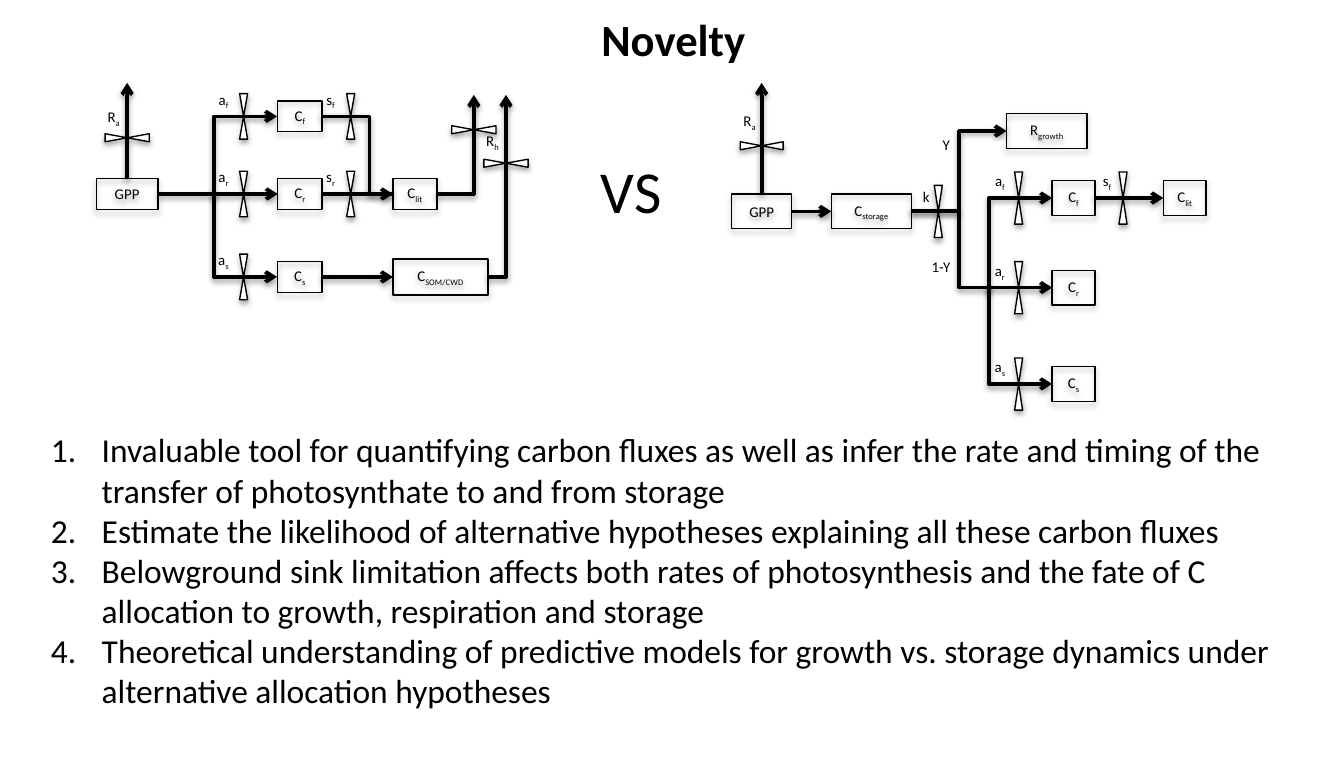
from dataclasses import dataclass
from typing import Optional

from lxml.etree import SubElement
from pptx import Presentation
from pptx.dml.color import RGBColor
from pptx.enum.shapes import MSO_CONNECTOR as Wire, MSO_SHAPE as Preset
from pptx.enum.text import MSO_ANCHOR as Anchor, MSO_AUTO_SIZE as Fit, PP_ALIGN as Align
from pptx.oxml.ns import qn
from pptx.util import Inches, Pt


@dataclass(frozen=True)
class Theme:
    ink: RGBColor = RGBColor(0, 0, 0)
    paper: RGBColor = RGBColor(255, 255, 255)
    face: str = "Calibri"
    title: float = 24
    versus: float = 32
    body: float = 18
    label: float = 8
    outline: float = 0.75
    flow: float = 2


@dataclass(frozen=True)
class Box:  # a pool; x and y give the centre, "_" starts a subscript
    text: str
    x: float
    y: float
    w: float
    h: float


@dataclass(frozen=True)
class Valve:
    x: float
    y: float
    length: float
    turned: bool = False


@dataclass(frozen=True)
class Label:
    text: str
    x: float
    y: float
    w: float = 0.33
    h: float = 0.2


@dataclass(frozen=True)
class Bend:  # leaves its start sideways; without a turn it has one corner
    start: tuple[float, float]
    end: tuple[float, float]
    arrow: str = "tailEnd"
    turn: Optional[float] = None


@dataclass(frozen=True)
class Diagram:
    boxes: list[Box]
    links: list[tuple[str, str]]
    bends: list[Bend]
    valves: list[Valve]
    labels: list[Label]


THEME = Theme()
VENT_TOP = 0.62
LABEL_RISE = 0.12


def branch(rows: dict[str, float], box_x: float, valve_x: float, label_x: float,
           size: tuple[float, float], length: float) -> tuple[list, list, list]:
    """Pools, valves and allocation labels of the three-way split."""
    boxes = [Box(f"C_{key}", box_x, y, *size) for key, y in rows.items()]
    valves = [Valve(valve_x, y, length) for y in rows.values()]
    labels = [Label(f"a_{key}", label_x, y - LABEL_RISE) for key, y in rows.items()]
    return boxes, valves, labels


# Diagram without storage
left_rows = {"f": 0.87, "r": 1.45, "s": 2.07}
pools, valves, labels = branch(left_rows, 2.24, 1.82, 1.67, (0.33, 0.23), 0.34)
without_storage = Diagram(
    boxes=pools + [Box("GPP", 0.95, 1.45, 0.46, 0.23), Box("C_lit", 3.1, 1.45, 0.33, 0.23),
                   Box("C_SOM/CWD", 3.29, 2.07, 0.71, 0.27)],
    links=[("GPP", "C_r"), ("C_r", "C_lit"), ("C_s", "C_SOM/CWD")],
    bends=[Bend((2.07, 0.87), (1.6, 1.48), "headEnd"), Bend((2.07, 2.07), (1.6, 1.43), "headEnd"),
           Bend((2.4, 0.87), (2.93, 1.45), "", 0.68),
           Bend((3.64, 2.07), (3.78, 0.71)), Bend((3.26, 1.45), (3.54, 0.71))],
    valves=valves + [Valve(2.62, left_rows[key], 0.34) for key in "fr"]
    + [Valve(0.95, 1.03, 0.33, True), Valve(3.54, 0.97, 0.33, True), Valve(3.78, 1.22, 0.33, True)],
    labels=labels + [Label(f"s_{key}", 2.47, left_rows[key] - LABEL_RISE) for key in "fr"]
    + [Label("R_a", 0.85, 0.88), Label("R_h", 3.68, 1.06)],
)

# Diagram with storage
right_rows = {"f": 1.48, "r": 2.15, "s": 2.87}
pools, valves, labels = branch(right_rows, 8.02, 7.61, 7.47, (0.32, 0.26), 0.39)
with_storage = Diagram(
    boxes=pools + [Box("GPP", 5.69, 1.58, 0.45, 0.26), Box("C_storage", 6.51, 1.58, 0.6, 0.26),
                   Box("C_lit", 8.85, 1.48, 0.32, 0.26), Box("R_growth", 7.82, 0.98, 0.6, 0.26)],
    links=[("GPP", "C_storage"), ("C_f", "C_lit")],
    bends=[Bend((7.86, 1.48), (7.39, 2.19), "headEnd"), Bend((7.86, 2.87), (7.39, 2.13), "headEnd"),
           Bend((6.81, 1.58), (7.86, 2.15), turn=0.34), Bend((6.81, 1.58), (7.52, 0.98), turn=0.5)],
    valves=valves + [Valve(7.01, 1.58, 0.39), Valve(8.39, 1.48, 0.39), Valve(5.69, 1.09, 0.32, True)],
    labels=labels + [Label("s_f", 8.27, 1.36), Label("R_a", 5.6, 0.91), Label("k", 6.92, 1.47),
                     Label("Y", 7.07, 1.08), Label("1-Y", 7.03, 1.99)],
)


def format_font(font, size: float, bold: bool = False) -> None:
    for name, value in {"name": THEME.face, "size": Pt(size), "bold": bold}.items():
        setattr(font, name, value)
    font.color.rgb = THEME.ink


def format_frame(frame, anchor, margins: tuple[float, float] = (0, 0)) -> None:
    side, edge = (Inches(margin) for margin in margins)
    values = {"margin_left": side, "margin_right": side, "margin_top": edge, "margin_bottom": edge,
              "vertical_anchor": anchor, "word_wrap": True, "auto_size": Fit.NONE}
    for name, value in values.items():
        setattr(frame, name, value)


def place(shape, left: float, top: float, width: float, height: float) -> None:
    for name, value in zip(("left", "top", "width", "height"), (left, top, width, height)):
        setattr(shape, name, Inches(value))


def write_symbol(frame, text: str) -> None:
    format_frame(frame, Anchor.MIDDLE)
    para = frame.paragraphs[0]
    para.alignment = Align.CENTER
    for index, part in enumerate(text.split("_")):
        span = para.add_run()
        span.text = part
        format_font(span.font, THEME.label)
        if index:
            span._r.get_or_add_rPr().set("baseline", "-25000")


def add_shadow(properties, distance: float, opacity: int) -> None:
    effects = properties.find(qn("a:effectLst"))
    if effects is None:
        effects = SubElement(properties, qn("a:effectLst"))
    shadow = SubElement(effects, qn("a:outerShdw"), blurRad=str(Pt(3.1)), dist=str(Pt(distance)),
                        dir="5400000", rotWithShape="0")
    color = SubElement(shadow, qn("a:srgbClr"), val=str(THEME.ink))
    SubElement(color, qn("a:alpha"), val=str(opacity * 1000))


def add_preset(group, preset, x: float, y: float, w: float, h: float):
    shape = group.shapes.add_shape(preset, *map(Inches, (x - w / 2, y - h / 2, w, h)))
    shape.line.color.rgb = THEME.ink
    shape.line.width = Pt(THEME.outline)
    shape.shadow.inherit = False
    add_shadow(shape._element.spPr, 1.8, 35)
    return shape


def add_flow(group, kind, start: tuple[float, float], end: tuple[float, float], arrow: str):
    wire = group.shapes.add_connector(kind, *map(Inches, (*start, *end)))
    wire.line.color.rgb = THEME.ink
    wire.line.width = Pt(THEME.flow)
    if arrow:
        SubElement(wire.line._get_or_add_ln(), qn(f"a:{arrow}"), type="arrow")
    add_shadow(wire._element.spPr, 1.6, 38)
    return wire


def draw_diagram(page, diagram: Diagram) -> None:
    group = page.shapes.add_group_shape()
    # Pools
    drawn, places = {}, {box.text: box for box in diagram.boxes}
    for box in diagram.boxes:
        shape = drawn[box.text] = add_preset(group, Preset.RECTANGLE, box.x, box.y, box.w, box.h)
        shape.fill.background()
        write_symbol(shape.text_frame, box.text)
    # Straight flows
    for source, target in diagram.links:
        first, last = places[source], places[target]
        wire = add_flow(group, Wire.STRAIGHT, (first.x + first.w / 2, first.y),
                        (last.x - last.w / 2, last.y), "tailEnd")
        wire.begin_connect(drawn[source], 3)
        wire.end_connect(drawn[target], 1)
    gpp = places["GPP"]
    vent = add_flow(group, Wire.STRAIGHT, (gpp.x, gpp.y - gpp.h / 2), (gpp.x, VENT_TOP), "tailEnd")
    vent.begin_connect(drawn["GPP"], 0)
    # Bent flows
    for bend in diagram.bends:
        wire = add_flow(group, Wire.ELBOW, bend.start, bend.end, bend.arrow)
        geometry = wire._element.spPr.find(qn("a:prstGeom"))
        if bend.turn is None:
            geometry.set("prst", "bentConnector2")
        else:
            SubElement(geometry.find(qn("a:avLst")), qn("a:gd"), name="adj1",
                       fmla=f"val {round(bend.turn * 100000)}")
    # Valves and labels
    for valve in diagram.valves:
        shape = add_preset(group, Preset.FLOWCHART_COLLATE, valve.x, valve.y, 0.06, valve.length)
        shape.fill.solid()
        shape.fill.fore_color.rgb = THEME.paper
        shape.rotation = 90 if valve.turned else 0
    for label in diagram.labels:
        corner = (label.x - label.w / 2, label.y - label.h / 2)
        box = group.shapes.add_textbox(*map(Inches, (*corner, label.w, label.h)))
        write_symbol(box.text_frame, label.text)


def main() -> None:
    deck = Presentation()
    deck.slide_width, deck.slide_height = Inches(10.04), Inches(5.71)
    page = deck.slides.add_slide(deck.slide_layouts[1])
    title, body = page.placeholders[0], page.placeholders[1]

    # Title and the word between the diagrams
    place(title, 0.22, 0.04, 9.62, 0.49)
    versus = page.shapes.add_textbox(*map(Inches, (4.39, 1.1, 0.87, 0.65)))
    for box, text, size, bold, align in ((title, "Novelty", THEME.title, True, Align.CENTER),
                                         (versus, "VS", THEME.versus, False, Align.LEFT)):
        box.text_frame.text = text
        format_frame(box.text_frame, Anchor.TOP, (0.1, 0.05))
        box.text_frame.paragraphs[0].alignment = align
        format_font(box.text_frame.paragraphs[0].runs[0].font, size, bold)

    # Numbered list
    place(body, 0.28, 3.16, 9.65, 2.26)
    body.text_frame.text = "\n".join((
        "Invaluable tool for quantifying carbon fluxes as well as infer the rate and timing of the "
        "transfer of photosynthate to and from storage",
        "Estimate the likelihood of alternative hypotheses explaining all these carbon fluxes",
        "Belowground sink limitation affects both rates of photosynthesis and the fate of C "
        "allocation to growth, respiration and storage",
        "Theoretical understanding of predictive models for growth vs. storage dynamics under "
        "alternative allocation hypotheses",
    ))
    format_frame(body.text_frame, Anchor.TOP, (0.1, 0.05))
    for para in body.text_frame.paragraphs:
        para.space_before = Pt(0)
        properties = para._p.get_or_add_pPr()
        properties.set("marL", str(Inches(0.38)))
        properties.set("indent", str(Inches(-0.38)))
        SubElement(properties, qn("a:buFont"), typeface="+mj-lt")
        SubElement(properties, qn("a:buAutoNum"), type="arabicPeriod")
        format_font(para.runs[0].font, THEME.body)

    for diagram in (without_storage, with_storage):
        draw_diagram(page, diagram)
    deck.save("out.pptx")


if __name__ == "__main__":
    main()
